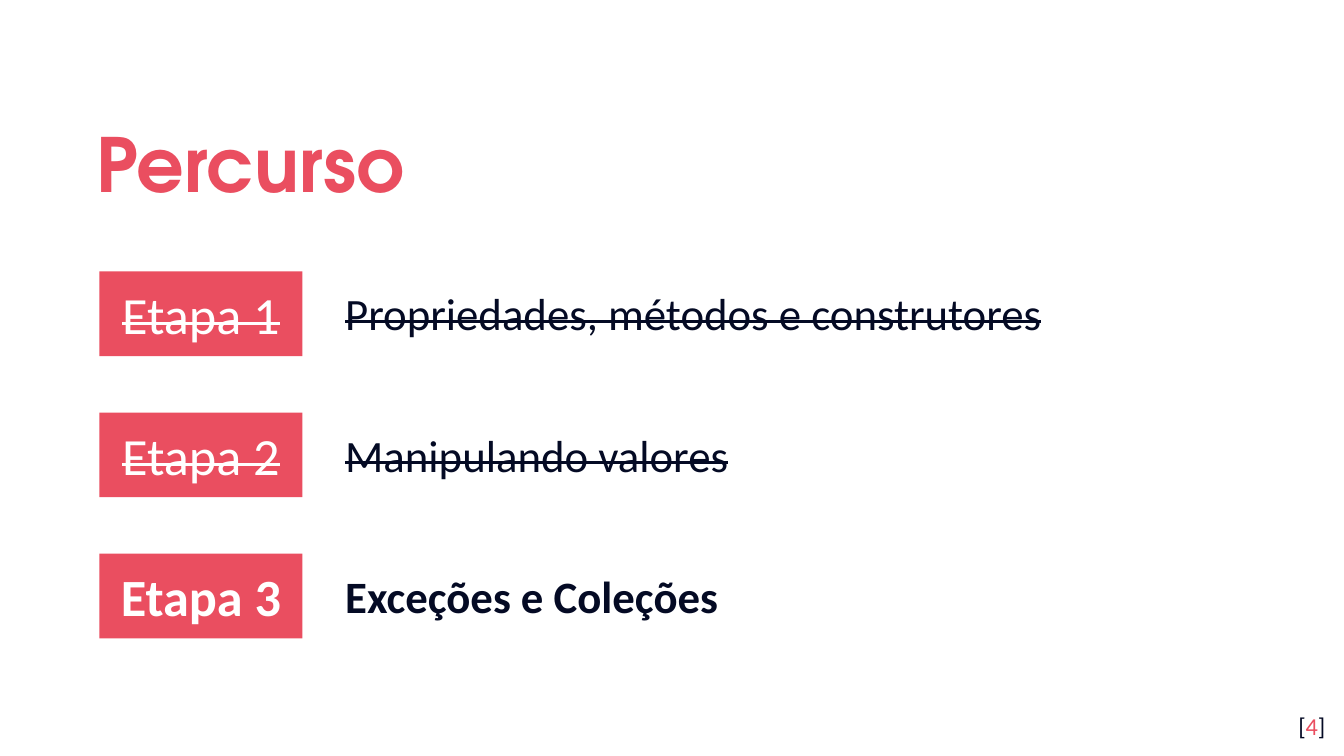
"""Build the course roadmap slide with three stages."""
import pptx
import pptx.dml.color
import pptx.enum.shapes
import pptx.enum.text
import pptx.util

Inches = pptx.util.Inches
RGBColor = pptx.dml.color.RGBColor
ALIGN = pptx.enum.text.PP_ALIGN
ANCHOR = pptx.enum.text.MSO_ANCHOR

ROSE = RGBColor(0xEA, 0x4E, 0x60)
NAVY = RGBColor(0x04, 0x0A, 0x24)
WHITE = RGBColor(0xFF, 0xFF, 0xFF)

STAGES = [
    ("Etapa 1", "Propriedades, métodos e construtores", True),
    ("Etapa 2", "Manipulando valores", True),
    ("Etapa 3", "Exceções e Coleções", False),
]
TOP = 2.02
STEP = 1.05


def style(run, size, color, face="Calibri", bold=False, struck=False):
    font = run.font
    font.size = pptx.util.Pt(size)
    font.name = face
    font.bold = bold
    font.color.rgb = color
    if struck:
        run._r.get_or_add_rPr().set("strike", "sngStrike")


def set_frame(shape, anchor, inset):
    frame = shape.text_frame
    frame.word_wrap = True
    frame.vertical_anchor = anchor
    frame.margin_top = frame.margin_bottom = Inches(inset)
    return frame


def add_text(slide, box, text, anchor=ANCHOR.TOP, inset=0.1):
    shape = slide.shapes.add_textbox(*map(Inches, box))
    frame = set_frame(shape, anchor, inset)
    frame.text = text
    return frame.paragraphs[0]


def add_badge(slide, top, label, done):
    shape = slide.shapes.add_shape(
        pptx.enum.shapes.MSO_SHAPE.RECTANGLE,
        Inches(0.74), Inches(top), Inches(1.51), Inches(0.63))
    shape.shadow.inherit = False
    shape.fill.solid()
    shape.fill.fore_color.rgb = ROSE
    shape.line.fill.background()
    frame = set_frame(shape, ANCHOR.MIDDLE, 0.1)
    frame.text = label
    para = frame.paragraphs[0]
    para.alignment = ALIGN.CENTER
    style(para.runs[0], 28, WHITE, bold=not done, struck=done)


def add_stage(slide, top, label, topic, done):
    add_badge(slide, top, label, done)
    para = add_text(slide, (2.47, top + 0.06, 6.75, 0.5), topic, inset=0.05)
    style(para.runs[0], 24, NAVY, bold=not done, struck=done)


def add_title(slide, text):
    para = add_text(slide, (0.62, 0.7, 8.1, 0.92), text, ANCHOR.MIDDLE)
    para.line_spacing = 1.15
    style(para.runs[0], 40, ROSE, "TeX Gyre Adventor", bold=True)


def add_number(slide, number):
    para = add_text(slide, (9.36, 5.19, 0.6, 0.43), "[")
    para.alignment = ALIGN.RIGHT
    for text in (number, "]"):
        para.add_run().text = text
    for run, color in zip(para.runs, (NAVY, ROSE, NAVY)):
        style(run, 13, color)


def main():
    deck = pptx.Presentation()
    deck.slide_width = Inches(10)
    deck.slide_height = Inches(10 * 9 / 16)
    slide = deck.slides.add_slide(deck.slide_layouts[6])
    add_title(slide, "Percurso")
    for row, stage in enumerate(STAGES):
        add_stage(slide, TOP + row * STEP, *stage)
    add_number(slide, "4")
    deck.save("out.pptx")


if __name__ == "__main__":
    main()
